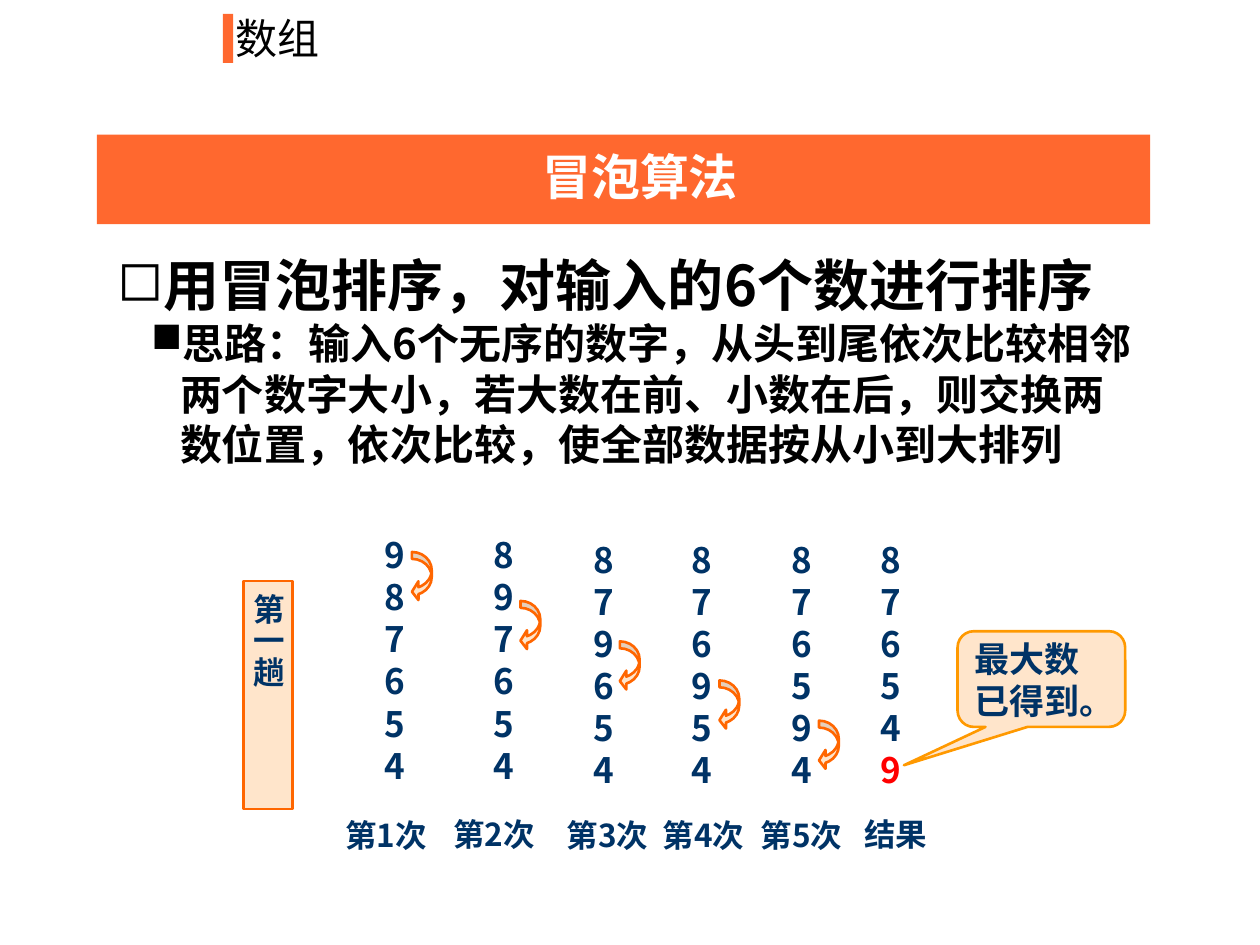
from lxml.etree import SubElement
from pptx import Presentation
from pptx.dml.color import RGBColor
from pptx.enum.shapes import MSO_SHAPE as Preset
from pptx.enum.text import MSO_ANCHOR as Anchor, PP_ALIGN as Align
from pptx.oxml.ns import qn
from pptx.util import Pt

COLORS = {
    "orange": "FF682F", "outline": "FF6600", "callout": "FF9900",
    "peach": "FFCC99", "navy": "003366", "red": "FF0000",
    "black": "000000", "white": "FFFFFF",
}
CJK = "Noto Sans CJK SC"
HEADING = {"size": 24, "bold": False, "color": "black"}
BANNER = {"size": 28, "bold": True, "color": "white"}
TOPIC = {"size": 32, "bold": True, "color": "black"}
IDEA = {"size": 24, "bold": True, "color": "black"}
DIGIT = {"size": 20, "bold": True, "color": "navy"}
LABEL = {"size": 18, "bold": True, "color": "navy"}

NUMBERS = [9, 8, 7, 6, 5, 4]
LINE_PITCH = 24
# left, top, height of each column of numbers; left, top of its label
COLUMNS = [
    (212.4, 281.5, 215.3, 190.1, 463), (275, 281.5, 215.3, 252, 462.2),
    (331.9, 303.8, 175.7, 316.8, 463), (388.1, 303.8, 175.7, 371.5, 463),
    (445, 303.8, 175.7, 427.7, 463), (496.1, 303.8, 175.7, 486.7, 462.2),
]
ARROWS = [(235.4, 315.4), (297.4, 343.4), (354.2, 366.5), (411.1, 388.8), (468, 411.8)]


def rgb(name):
    return RGBColor.from_string(COLORS[name])


def write(paragraph, text, style, font=CJK):
    run = paragraph.add_run()
    run.text = text
    formats = {"name": font, "size": Pt(style["size"]), "bold": style["bold"]}
    for key, value in formats.items():
        setattr(run.font, key, value)
    run.font.color.rgb = rgb(style["color"])
    SubElement(run.font._element, qn("a:ea"), typeface=CJK)


def set_frame(frame, **formats):
    defaults = {
        "word_wrap": True, "vertical_anchor": Anchor.TOP,
        "margin_left": Pt(7.2), "margin_right": Pt(7.2),
        "margin_top": Pt(3.6), "margin_bottom": Pt(3.6),
    }
    for key, value in (defaults | formats).items():
        setattr(frame, key, value)
    return frame


def add_text(slide, box, lines, style, **formats):
    frame = set_frame(slide.shapes.add_textbox(*map(Pt, box)).text_frame, **formats)
    for index, line in enumerate(lines):
        paragraph = frame.add_paragraph() if index else frame.paragraphs[0]
        write(paragraph, line, style)
    return frame


def add_solid(slide, preset, box, fill, line=None, opacity=None):
    shape = slide.shapes.add_shape(preset, *map(Pt, box))
    shape.shadow.inherit = False
    shape.fill.solid()
    shape.fill.fore_color.rgb = rgb(fill)
    if opacity:
        color = shape._element.spPr.find(qn("a:solidFill"))[0]
        SubElement(color, qn("a:alpha"), val=str(opacity * 1000))
    if line:
        shape.line.color.rgb = rgb(line)
        shape.line.width = Pt(1.5)
    else:
        shape.line.fill.background()
    return shape


def add_peach(slide, preset, box, line="outline"):
    return add_solid(slide, preset, box, "peach", line, opacity=50)


def set_bullet(paragraph, char, margin, hanging):
    properties = paragraph._p.get_or_add_pPr()
    properties.set("marL", str(Pt(margin)))
    properties.set("indent", str(-Pt(hanging)))
    color = SubElement(properties, qn("a:buClr"))
    SubElement(color, qn("a:srgbClr"), val=COLORS["black"])
    SubElement(properties, qn("a:buChar"), char=char)


def section_heading(slide, left, top):
    add_solid(slide, Preset.RECTANGLE, (left, top + 4.3, 5.8, 28.1), "orange")
    add_text(slide, (left, top, 185.8, 36), ["数组"], HEADING)


def title_banner(slide, left, top, width, height):
    add_solid(slide, Preset.RECTANGLE, (left, top, width, height), "orange")
    title = slide.shapes.title
    box = {"left": left + 38.2, "top": top + 2.9, "width": 544.3, "height": 41}
    for key, value in box.items():
        setattr(title, key, Pt(value))
    paragraph = set_frame(title.text_frame).paragraphs[0]
    paragraph.alignment = Align.CENTER
    write(paragraph, "冒泡算法", BANNER)
    slide.shapes._spTree.append(title._element)  # in front of the band


def explanation(slide, box):
    frame = add_text(slide, box, ["用冒泡排序，对输入的6个数进行排序"], TOPIC)
    idea = frame.add_paragraph()
    idea.level = 1
    write(idea, "思路：输入6个无序的数字，从头到尾依次比较相邻两个数字大小，"
                "若大数在前、小数在后，则交换两数位置，依次比较，使全部数据按从小到大排列", IDEA)
    set_bullet(frame.paragraphs[0], "◻", 19.5, 19.5)
    set_bullet(idea, "■", 36, 16.5)


def pass_tag(slide, box):
    tag = add_peach(slide, Preset.RECTANGLE, box)
    frame = set_frame(
        tag.text_frame, word_wrap=False, vertical_anchor=Anchor.MIDDLE,
        margin_left=Pt(3.6), margin_right=Pt(3.6),
        margin_top=Pt(7.2), margin_bottom=Pt(7.2))
    frame._txBody.bodyPr.set("vert", "eaVert")
    frame.paragraphs[0].alignment = Align.LEFT
    write(frame.paragraphs[0], "第一趟", LABEL, "Arial")


def swap_arrow(slide, left, top):
    arrow = add_peach(slide, Preset.CURVED_LEFT_ARROW, (left, top, 11.3, 28.1))
    for index, value in enumerate((0.35, 0.95, 0.33)):
        arrow.adjustments[index] = value


def bubble_pass(slide):
    """Show the numbers before each comparison, moving the largest down one place."""
    numbers = list(NUMBERS)
    last = len(COLUMNS) - 1
    for step, (left, top, height, label_left, label_top) in enumerate(COLUMNS):
        digits = add_text(
            slide, (left, top, 28.1, height), map(str, numbers), DIGIT, word_wrap=False,
            vertical_anchor=Anchor.MIDDLE, margin_bottom=Pt(3.6 + LINE_PITCH))
        if step < last:
            swap_arrow(slide, *ARROWS[step])
            numbers[step], numbers[step + 1] = numbers[step + 1], numbers[step]
        else:
            digits.paragraphs[last].runs[0].font.color.rgb = rgb("red")
        label = f"第{step + 1}次" if step < last else "结果"
        label_height = 50.4 if step < last else 28.8
        frame = add_text(slide, (label_left, label_top, 66.2, label_height), [label], LABEL)
        frame.paragraphs[0].space_before = Pt(11.2)


def largest_callout(slide, box):
    callout = add_peach(slide, Preset.ROUNDED_RECTANGULAR_CALLOUT, box, "callout")
    for index, value in enumerate((-0.82, 0.9, 0.17)):
        callout.adjustments[index] = value
    frame = set_frame(callout.text_frame, word_wrap=False, vertical_anchor=Anchor.MIDDLE)
    for paragraph, line in ((frame.paragraphs[0], "最大数"), (frame.add_paragraph(), "已得到。")):
        paragraph.alignment = Align.LEFT
        write(paragraph, line, DIGIT, "Times New Roman")


def main():
    deck = Presentation()
    deck.slide_width, deck.slide_height = Pt(720), Pt(540)
    slide = deck.slides.add_slide(deck.slide_layouts[5])
    section_heading(slide, 127.4, 3.6)
    title_banner(slide, 55.4, 77, 601.9, 51.1)
    explanation(slide, (59.8, 139.7, 595.4, 161.3))
    pass_tag(slide, (139, 331.9, 28.1, 130.3))
    bubble_pass(slide)
    largest_callout(slide, (547.2, 360.7, 95.8, 54.7))
    deck.save("out.pptx")


if __name__ == "__main__":
    main()
